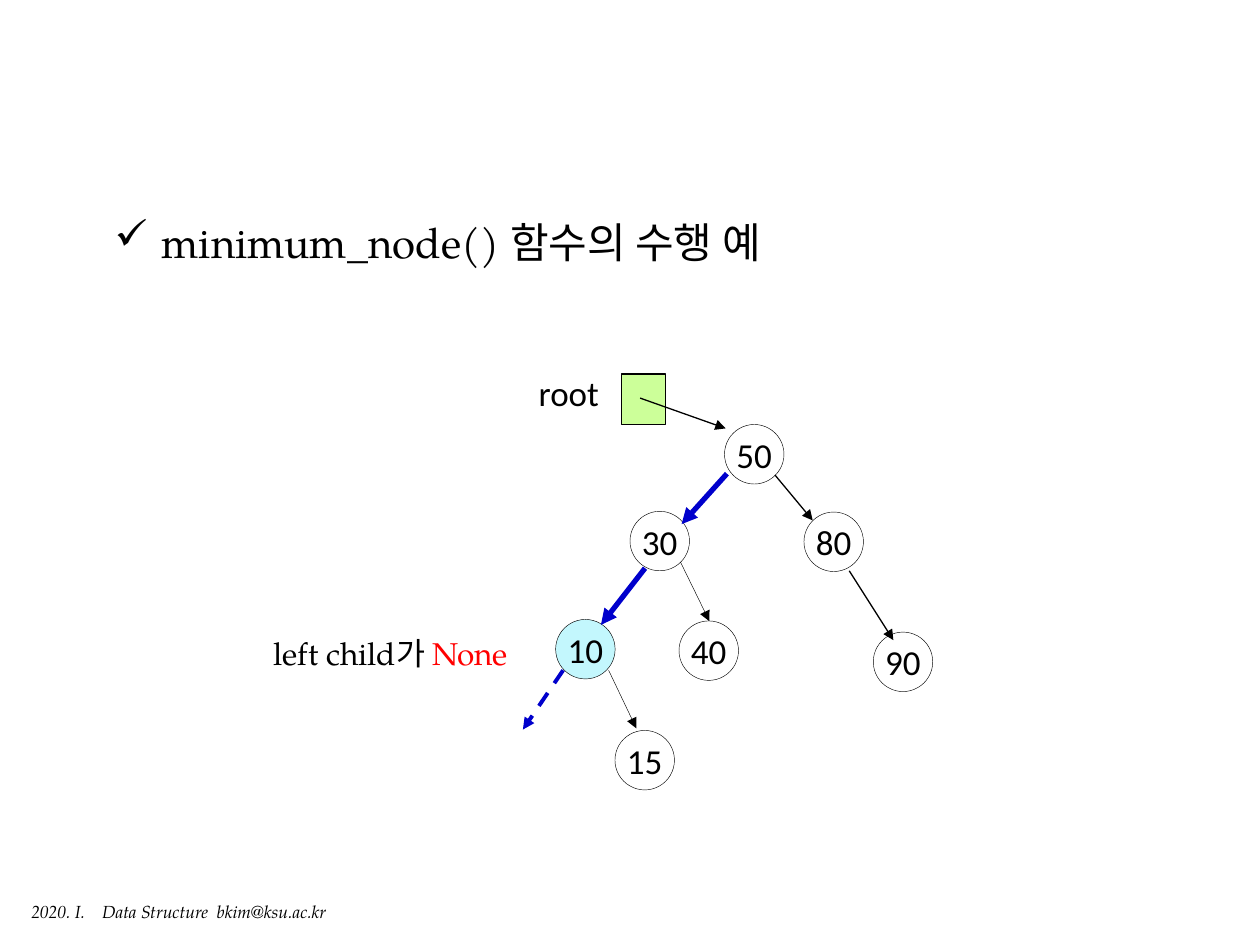
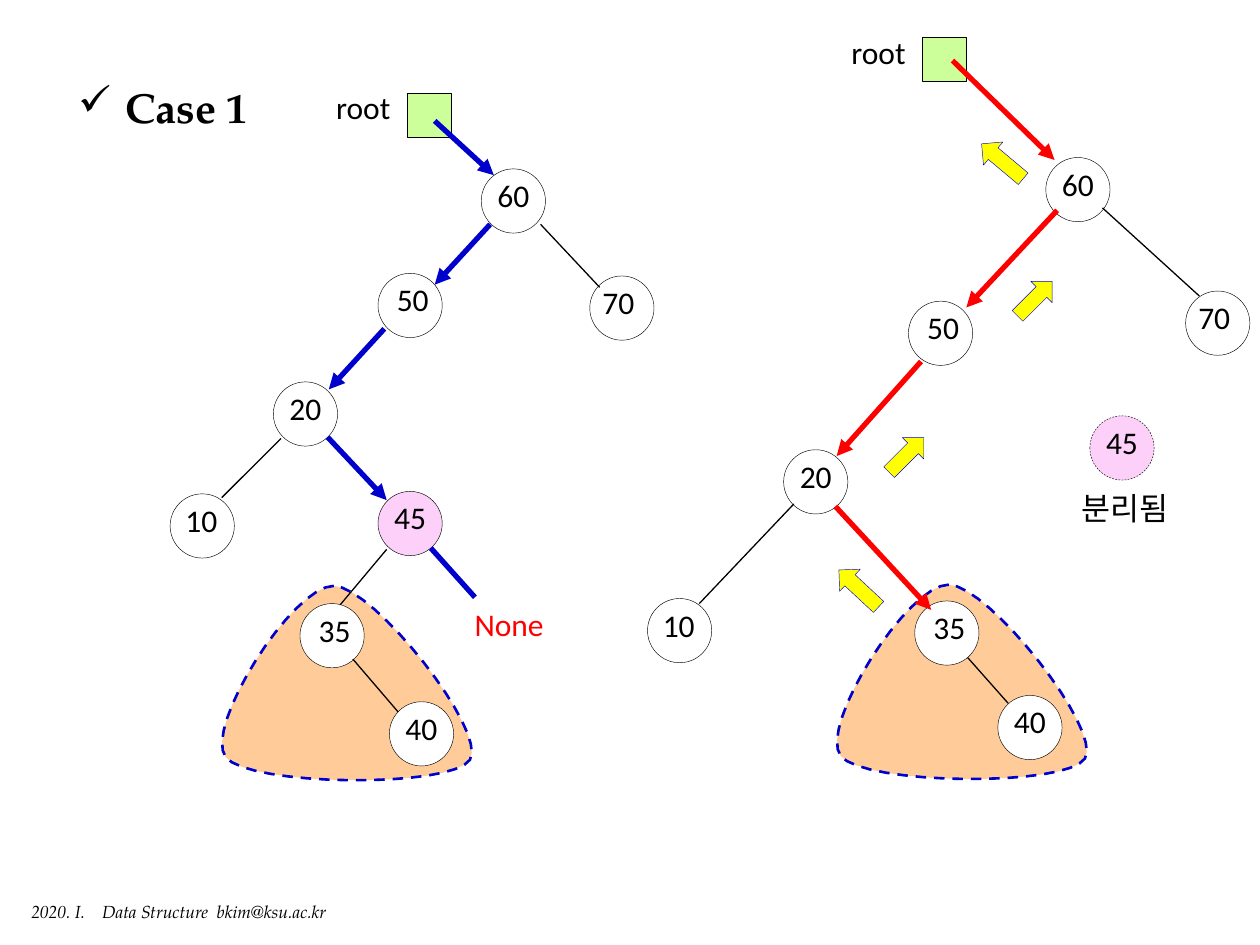
from dataclasses import dataclass
from typing import NamedTuple

from lxml.etree import SubElement
from pptx import Presentation
from pptx.dml.color import RGBColor
from pptx.enum.dml import MSO_LINE
from pptx.enum.shapes import MSO_CONNECTOR, MSO_SHAPE
from pptx.enum.text import MSO_ANCHOR, MSO_AUTO_SIZE, PP_ALIGN
from pptx.oxml.ns import qn
from pptx.util import Pt


@dataclass(frozen=True)
class Theme:
    ink: str = "000000"
    white: str = "FFFFFF"
    blue: str = "0000CC"
    red: str = "FF0000"
    green: str = "CCFF99"
    cyan: str = "C3F7FD"
    pink: str = "FCD0F8"
    peach: str = "FFCC99"
    yellow: str = "FFFF00"
    serif: str = "TeX Gyre Pagella"
    sans: str = "Calibri"
    head: int = 24
    large: int = 20
    text: int = 18
    foot: int = 10
    hair: float = 0.25
    thin: float = 0.75
    thick: float = 3


T = Theme()


class Node(NamedTuple):
    text: str
    left: float
    top: float
    fill: str = T.white
    nudge: float = 0
    dashed: bool = False


class Edge(NamedTuple):
    x1: float
    y1: float
    x2: float
    y2: float
    color: str = T.ink
    width: float = T.thin
    arrow: bool = True
    dashed: bool = False


class Label(NamedTuple):
    text: str
    left: float
    top: float
    width: float
    size: int = T.text
    color: str = T.ink


class Box(NamedTuple):
    left: float
    top: float
    width: float
    height: float


class Look(NamedTuple):
    size: float
    drop: float
    font: int


class Hint(NamedTuple):
    left: float
    top: float
    width: float
    turn: float


def rgb(code: str) -> RGBColor:
    return RGBColor.from_string(code)


def set_font(run, name: str, size: int, color: str = T.ink) -> None:
    run.font.name = name
    run.font.size = Pt(size)
    run.font.color.rgb = rgb(color)


def paint(shape, fill: str, line: str, width: float, dashed: bool = False) -> None:
    shape.shadow.inherit = False
    shape.fill.solid()
    shape.fill.fore_color.rgb = rgb(fill)
    shape.line.color.rgb = rgb(line)
    shape.line.width = Pt(width)
    if dashed:
        shape.line.dash_style = MSO_LINE.DASH


def add_box(slide, box: Box, text: str):
    shape = slide.shapes.add_textbox(*map(Pt, box))
    shape.text_frame.text = text
    shape.text_frame.word_wrap = True
    return shape


def draw_head(slide, text: str, box: Box, bold: bool = False) -> None:
    title = slide.shapes.title
    title.left, title.top, title.width, title.height = map(Pt, box)
    frame = title.text_frame
    frame.text = text
    frame.word_wrap = False
    frame.auto_size = MSO_AUTO_SIZE.SHAPE_TO_FIT_TEXT
    frame.vertical_anchor = MSO_ANCHOR.TOP
    line = frame.paragraphs[0]
    line.alignment = PP_ALIGN.LEFT
    props = line._p.get_or_add_pPr()
    props.set("marL", str(Pt(27)))
    props.set("indent", str(Pt(-27)))
    SubElement(props, qn("a:buChar")).set("char", "✓")
    set_font(line.runs[0], T.serif, T.head)
    line.runs[0].font.bold = bold


def draw_foot(slide, layout) -> None:
    text = "2020. I.\tData Structure\tbkim@ksu.ac.kr"
    foot = add_box(slide, Box(10.8, 511.2, 186, 19.4), text)
    foot.text_frame.word_wrap = False
    line = foot.text_frame.paragraphs[0]
    tabs = SubElement(line._p.get_or_add_pPr(), qn("a:tabLst"))
    for stop in (40.5, 106):
        tab = SubElement(tabs, qn("a:tab"))
        tab.set("pos", str(Pt(stop)))
        tab.set("algn", "l")
    for run in line.runs:
        set_font(run, T.serif, T.foot)
        run.font.italic = True
    layout.shapes.element.append(foot.element)


def draw_node(slide, node: Node, look: Look) -> None:
    shape = slide.shapes.add_shape(
        MSO_SHAPE.OVAL, Pt(node.left), Pt(node.top), Pt(look.size), Pt(look.size))
    paint(shape, node.fill, T.ink, T.hair, node.dashed)
    frame = shape.text_frame
    frame.text = node.text
    frame.word_wrap = False
    frame.vertical_anchor = MSO_ANCHOR.BOTTOM
    frame.margin_top = 0
    frame.margin_bottom = Pt(look.drop)
    frame.margin_left = Pt(max(0, 2 * node.nudge))
    frame.margin_right = Pt(max(0, -2 * node.nudge))
    frame.paragraphs[0].alignment = PP_ALIGN.CENTER
    set_font(frame.paragraphs[0].runs[0], T.sans, look.font)


def draw_edge(slide, edge: Edge) -> None:
    link = slide.shapes.add_connector(
        MSO_CONNECTOR.STRAIGHT, Pt(edge.x1), Pt(edge.y1), Pt(edge.x2), Pt(edge.y2))
    link.line.color.rgb = rgb(edge.color)
    link.line.width = Pt(edge.width)
    if edge.dashed:
        link.line.dash_style = MSO_LINE.DASH
    props = link.element.spPr
    if edge.arrow:
        SubElement(props.find(qn("a:ln")), qn("a:tailEnd")).set("type", "triangle")
    SubElement(props, qn("a:effectLst"))


def draw_label(slide, label: Label) -> None:
    box = Box(label.left, label.top, label.width, label.size * 1.6)
    line = add_box(slide, box, label.text).text_frame.paragraphs[0]
    line.alignment = PP_ALIGN.CENTER
    set_font(line.runs[0], T.sans, label.size, label.color)


def draw_root(slide, box: Box, width: float) -> None:
    shape = slide.shapes.add_shape(MSO_SHAPE.RECTANGLE, *map(Pt, box))
    paint(shape, T.green, T.ink, width)


def draw_hint(slide, hint: Hint) -> None:
    shape = slide.shapes.add_shape(
        MSO_SHAPE.RIGHT_ARROW, Pt(hint.left), Pt(hint.top), Pt(hint.width), Pt(17.3))
    shape.rotation = hint.turn
    paint(shape, T.yellow, T.blue, T.hair)


def bend(a: float, b: float, c: float, d: float, t: float) -> float:
    s = 1 - t
    return s**3 * a + 3 * s * s * t * b + 3 * s * t * t * c + t**3 * d


def draw_blob(slide, dx: float, dy: float) -> None:
    knots = [(190.8, 334.8), (167, 334.8), (116, 416.2), (129, 432.7),
             (141.8, 449.3), (257.8, 450.7), (268.6, 434.2),
             (278.6, 417.6), (213.8, 335.5), (190.8, 334.8)]
    steps = 16
    dots = []
    for first in range(0, 9, 3):
        xs, ys = zip(*knots[first:first + 4])
        for step in range(1, steps + 1):
            t = step / steps
            dots.append((Pt(bend(*xs, t) + dx), Pt(bend(*ys, t) + dy)))
    pen = slide.shapes.build_freeform(*dots[-1])
    pen.add_line_segments(dots[:-1], close=True)
    paint(pen.convert_to_shape(), T.peach, T.blue, 1.5, True)


def draw_tree(slide, nodes: list[Node], edges: list[Edge], look: Look) -> None:
    for node in nodes:
        draw_node(slide, node, look)
    for edge in edges:
        draw_edge(slide, edge)


def build_min(slide) -> None:
    draw_head(slide, "minimum_node() 함수의 수행 예", Box(58.3, 120.2, 394.6, 36))
    draw_root(slide, Box(355, 213.8, 25.2, 28.8), T.thin)
    draw_label(slide, Label("root", 289.4, 208.8, 71.3, T.large))
    nodes = [
        Node("50", 414, 242.6), Node("80", 459.4, 292.6), Node("30", 360, 292.2),
        Node("10", 317.5, 354, T.cyan), Node("40", 388, 354.8),
        Node("90", 499, 361.2), Node("15", 351.4, 417.4),
    ]
    edges = [
        Edge(415.4, 270.7, 389.5, 299.5, T.blue, T.thick),
        Edge(442.8, 271.4, 464.4, 297.4),
        Edge(368.6, 324.7, 343.4, 357.1, T.blue, T.thick),
        Edge(388.8, 321.1, 405.4, 355, width=T.hair),
        Edge(485.3, 326.2, 510.5, 365.8),
        Edge(365.8, 227.5, 414.7, 244.8),
        Edge(321.8, 383, 298.8, 416.9, T.blue, 2.25, dashed=True),
        Edge(347.8, 383, 363.6, 416.2, width=T.hair),
    ]
    draw_tree(slide, nodes, edges, Look(34, 0, T.large))
    note = add_box(slide, Box(149, 358.6, 159.1, 28.8), "left child가 ")
    line = note.text_frame.paragraphs[0]
    line.add_run().text = "None"
    for run, color in zip(line.runs, (T.ink, T.red)):
        set_font(run, T.serif, T.text, color)


def build_case(slide) -> None:
    draw_head(slide, "Case 1", Box(37.4, 43.2, 112.3, 36), bold=True)
    for dx, dy in ((0, 0), (351.4, -0.7)):
        draw_blob(slide, dx, dy)
    for left, top in ((232.6, 53.3), (527, 21.6)):
        draw_root(slide, Box(left, top, 25.2, 25.2), 0.5)
        draw_label(slide, Label("root", left - 53.5, top - 6.5, 57))
    nodes = [
        Node("60", 275, 96.5), Node("50", 216, 156.2, nudge=1.5),
        Node("70", 337, 157.7, nudge=-2), Node("20", 156.2, 218.2),
        Node("10", 97.2, 282.2, nudge=-0.5), Node("45", 216, 280.8, T.pink),
        Node("35", 171.4, 344.9, nudge=1.5), Node("40", 222.5, 401),
        Node("60", 597.6, 90), Node("50", 519.1, 172.1, nudge=1.5),
        Node("70", 677.5, 166.3, nudge=-2), Node("20", 447.8, 257),
        Node("10", 370, 342, nudge=-0.5), Node("35", 522.7, 343.4, nudge=1.5),
        Node("40", 570.2, 397.4), Node("45", 622.8, 237.6, T.pink, dashed=True),
    ]
    plain = [
        (194.4, 345.6, 221, 313.9), (201.6, 376.6, 227.5, 406.8),
        (308.9, 128.2, 342.7, 164.2), (160.6, 250.6, 126.7, 284.4),
        (453.6, 288, 399.6, 344.9), (630, 118.8, 685.4, 169.2),
        (553, 375.8, 576, 401.8),
    ]
    down = [
        (248.4, 69.1, 282.2, 100.1), (280.1, 128.2, 248.4, 162.7),
        (219.6, 187.9, 187.9, 222.5), (187.2, 249.8, 221, 285.8),
    ]
    back = [
        (544.3, 34.6, 602.6, 91.4), (604.1, 120.2, 552.2, 175.7),
        (526.3, 206.6, 478.1, 260.6), (477.4, 289.4, 532.1, 348.5),
    ]
    edges = [Edge(*ends, arrow=False) for ends in plain]
    edges += [Edge(*ends, T.blue, T.thick) for ends in down]
    edges += [Edge(*ends, T.red, T.thick) for ends in back]
    edges.append(Edge(271.4, 341.3, 246.2, 313.2, T.blue, T.thick, arrow=False))
    draw_tree(slide, nodes, edges, Look(36.7, 5.7, T.text))
    draw_label(slide, Label("None", 255.6, 342, 70.6, color=T.red))
    draw_label(slide, Label("분리됨", 590.5, 275.8, 104.4))
    for hint in (Hint(504, 251.3, 28, 315), Hint(577.4, 162, 28, 315),
                 Hint(557.3, 83.5, 31, 220), Hint(475.2, 327.6, 31, 223)):
        draw_hint(slide, hint)


def main() -> None:
    deck = Presentation()
    deck.slide_width, deck.slide_height = Pt(720), Pt(540)
    layout = deck.slide_layouts[5]
    for build in (build_min, build_case):
        build(deck.slides.add_slide(layout))
    draw_foot(deck.slides[0], layout)
    deck.save("out.pptx")


if __name__ == "__main__":
    main()
